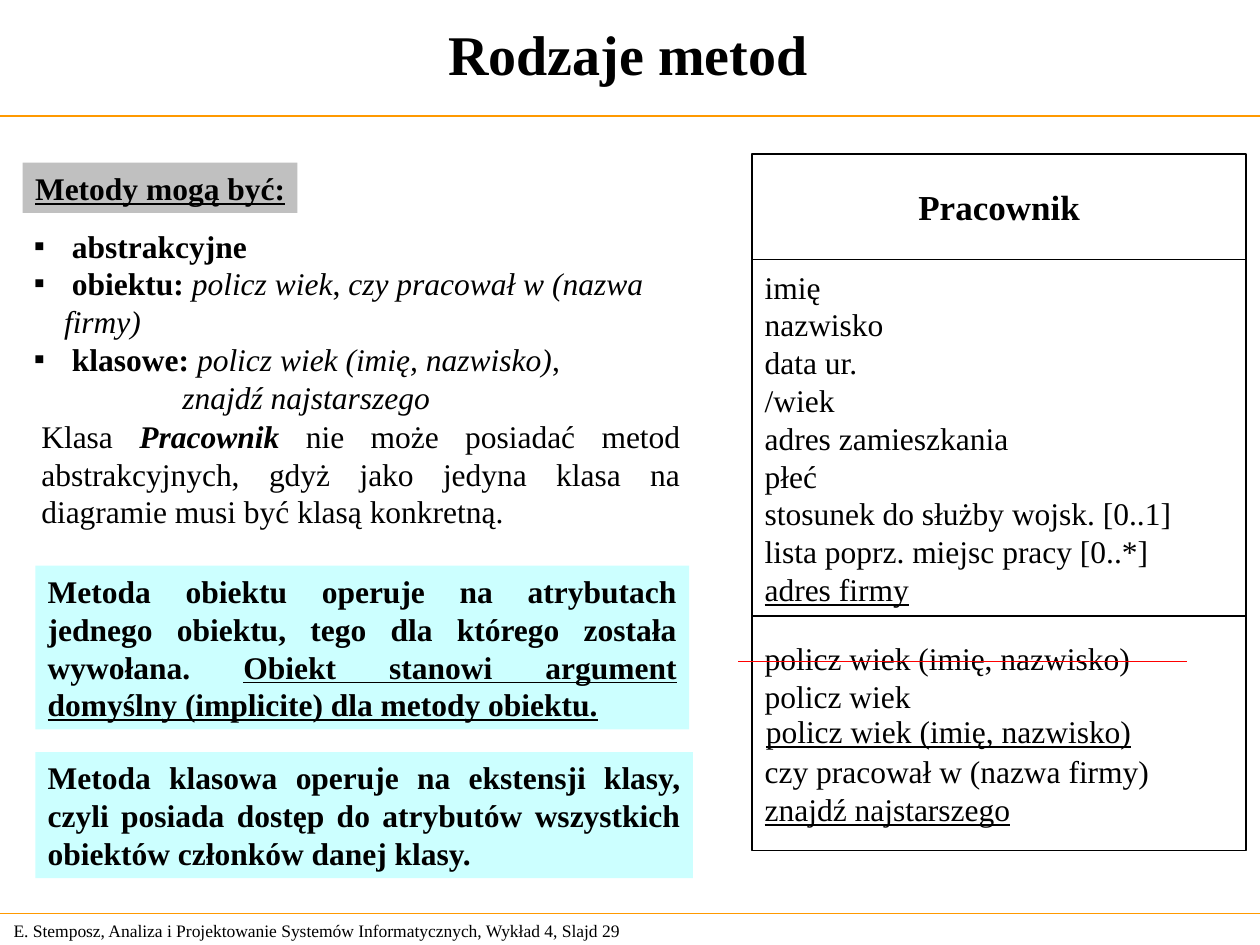
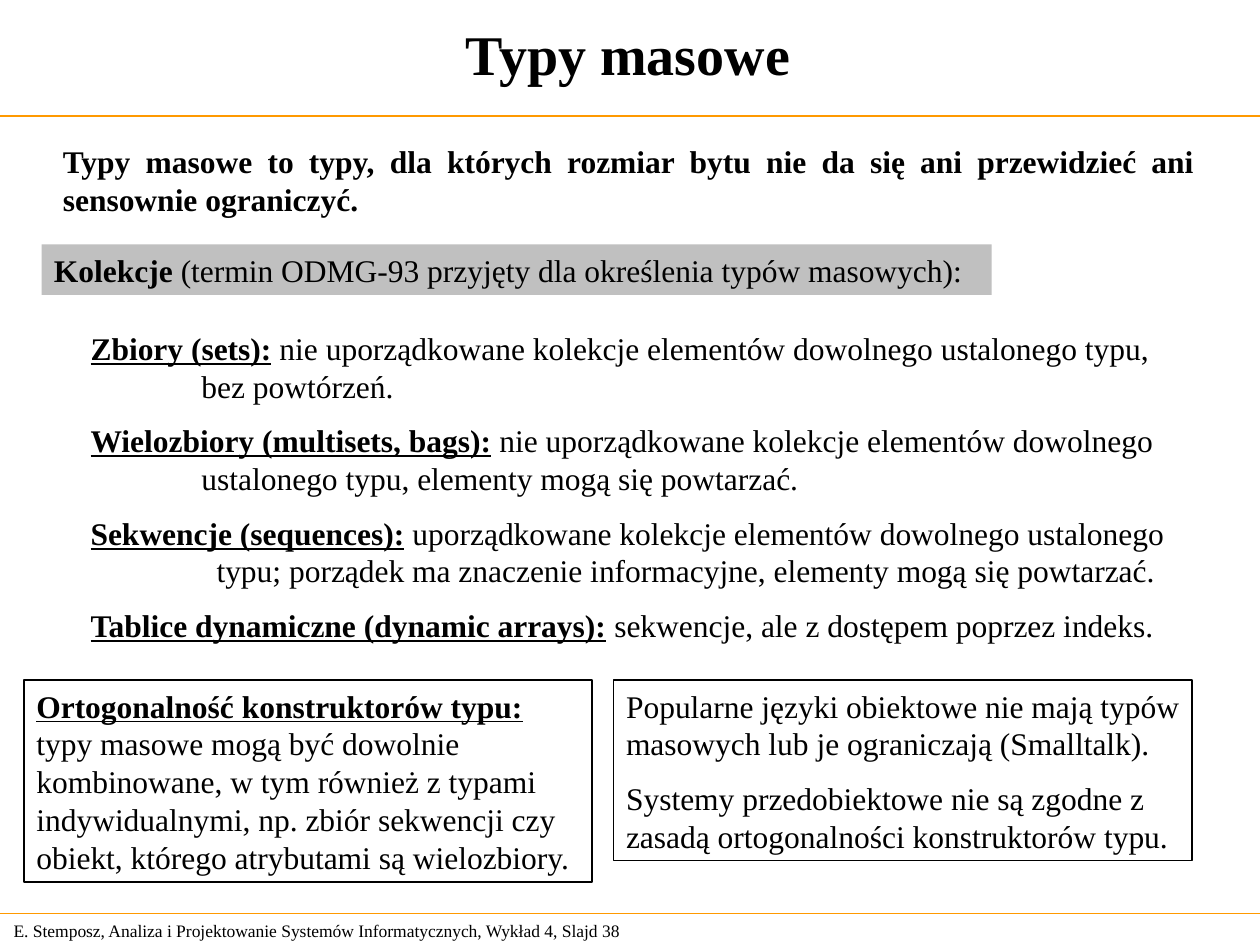
from dataclasses import dataclass

from lxml.etree import SubElement
from pptx import Presentation
from pptx.dml.color import RGBColor
from pptx.enum.shapes import MSO_CONNECTOR, MSO_SHAPE
from pptx.enum.text import MSO_ANCHOR, PP_ALIGN
from pptx.oxml.ns import qn
from pptx.util import Inches, Pt

COLUMNS, ROWS = 100, 75
BULLET_INDENT = 2.4
STYLES = {"b": "bold", "i": "italic", "u": "underline"}
ALIGNMENTS = {"left": PP_ALIGN.LEFT, "center": PP_ALIGN.CENTER, "justify": PP_ALIGN.JUSTIFY}


@dataclass(frozen=True)
class Theme:
    font: str = "Times New Roman"
    ink: str = "000000"
    rule: str = "FF9900"
    strike: str = "FF0000"
    heading_fill: str = "C0C0C0"
    note_fill: str = "CCFFFF"
    title_size: float = 32
    class_size: float = 20
    body_size: float = 18
    footer_size: float = 10
    blank_line: float = 21.6
    gap: float = 9.6


@dataclass(frozen=True)
class Line:
    """One paragraph: runs are (text, style letters) pairs, indent is in columns."""
    runs: tuple
    indent: float = 0
    bullet: str = ""
    before: float = 0


def line(text, style="", **options):
    return Line(((text, style),), **options)


def set_values(target, values):
    for name, value in values.items():
        setattr(target, name, value)


class SlideBuilder:
    """Draws on the current slide; positions are columns and rows of the grid."""

    def __init__(self, presentation, theme):
        self.presentation = presentation
        self.theme = theme
        self.slide = None

    def x(self, columns):
        return round(self.presentation.slide_width * columns / COLUMNS)

    def y(self, rows):
        return round(self.presentation.slide_height * rows / ROWS)

    def start(self, title, number):
        theme = self.theme
        self.slide = self.presentation.slides.add_slide(self.presentation.slide_layouts[6])
        footer = f"E. Stemposz, Analiza i Projektowanie Systemów Informatycznych, Wykład 4, Slajd {number}"
        self.text((0.1, 72.5, 52.4, 2.7), [line(footer)], size=theme.footer_size, middle=True)
        self.rule(0, 100, 9.2, theme.rule)
        self.rule(0, 100, 72.5, theme.rule, 0.75)
        self.text((0, 0, 99.7, 8.5), [line(title, "b")], size=theme.title_size,
                  align="center", middle=True)

    def rule(self, left, right, row, color, width=1):
        connector = self.slide.shapes.add_connector(
            MSO_CONNECTOR.STRAIGHT, self.x(left), self.y(row), self.x(right), self.y(row))
        connector.line.color.rgb = RGBColor.from_string(color)
        connector.line.width = Pt(width)
        SubElement(connector._element.spPr, qn("a:effectLst"))

    def text(self, area, lines, **options):
        left, top, width, height = area
        shape = self.slide.shapes.add_textbox(
            self.x(left), self.y(top), self.x(width), self.y(height))
        self.fill_text(shape, lines, **options)

    def box(self, area, lines, fill=None, outline=None, **options):
        left, top, width, height = area
        shape = self.slide.shapes.add_shape(
            MSO_SHAPE.RECTANGLE, self.x(left), self.y(top), self.x(width), self.y(height))
        shape.shadow.inherit = False
        if fill:
            shape.fill.solid()
            shape.fill.fore_color.rgb = RGBColor.from_string(fill)
        else:
            shape.fill.background()
        if outline:
            shape.line.color.rgb = RGBColor.from_string(outline)
            shape.line.width = Pt(1)
        else:
            shape.line.fill.background()
        self.fill_text(shape, lines, **options)

    def fill_text(self, shape, lines, size=None, align="left", middle=False):
        """Left-aligned text gets no right margin, so tight boxes keep their line breaks."""
        frame = shape.text_frame
        set_values(frame, {
            "word_wrap": True,
            "vertical_anchor": MSO_ANCHOR.MIDDLE if middle else MSO_ANCHOR.TOP,
            "margin_left": Inches(0.1),
            "margin_right": 0 if align == "left" else Inches(0.1),
            "margin_top": Inches(0.05),
            "margin_bottom": Inches(0.05),
        })
        for index, content in enumerate(lines):
            paragraph = frame.paragraphs[0] if index == 0 else frame.add_paragraph()
            set_values(paragraph, {"alignment": ALIGNMENTS[align],
                                   "space_before": Pt(content.before)})
            self.indent(paragraph, content)
            for text, style in content.runs:
                run = paragraph.add_run()
                run.text = text
                set_values(run.font, {"name": self.theme.font,
                                      "size": Pt(size or self.theme.body_size)})
                set_values(run.font, {STYLES[letter]: True for letter in style})
                run.font.color.rgb = RGBColor.from_string(self.theme.ink)

    def indent(self, paragraph, content):
        properties = paragraph._p.get_or_add_pPr()
        properties.set("marL", str(self.x(content.indent)))
        properties.set("indent", str(-self.x(content.indent) if content.bullet else 0))
        if content.bullet:
            SubElement(properties, qn("a:buFont"), typeface=self.theme.font)
            SubElement(properties, qn("a:buChar"), char=content.bullet)

    def class_diagram(self, left, top, width, sections):
        """Stacks the sections of a class; each is (height, lines, text options)."""
        for height, lines, options in sections:
            self.box((left, top, width, height), lines, outline=self.theme.ink,
                     middle=True, **options)
            top += height


def kinds_of_methods(builder):
    theme = builder.theme
    builder.start("Rodzaje metod", 29)
    builder.box((1.8, 12.9, 21.8, 4), [line("Metody mogą być:", "bu")], fill=theme.heading_fill)

    bullet = {"indent": BULLET_INDENT, "bullet": "▪"}
    builder.text((1.7, 17.5, 55, 13), [
        Line(((" ", ""), ("abstrakcyjne", "b")), **bullet),
        Line(((" ", ""), ("obiektu: ", "b"), ("policz wiek", "i"), (", ", ""),
              ("czy pracował w (nazwa firmy)", "i")), **bullet),
        Line(((" ", ""), ("klasowe: ", "b"), ("policz wiek (imię, nazwisko)", "i"),
              (",", "")), **bullet),
        line("znajdź najstarszego", "i", indent=11.8),
    ])
    builder.text((2.3, 32.6, 52.7, 10), [Line((
        ("Klasa ", ""), ("Pracownik ", "bi"),
        ("nie może posiadać metod abstrakcyjnych, gdyż jako jedyna klasa "
         "na diagramie musi być klasą konkretną.", "")))], align="justify")

    object_method = Line((
        ("Metoda obiektu operuje na atrybutach jednego obiektu, tego dla którego "
         "została wywołana. ", "b"),
        ("Obiekt stanowi argument domyślny (implicite) dla metody obiektu.", "bu")))
    class_method = line("Metoda klasowa operuje na ekstensji klasy, czyli posiada dostęp "
                        "do atrybutów wszystkich obiektów członków danej klasy.", "b")
    for top, width, height, note in ((44.9, 51.9, 13, object_method),
                                     (59.7, 52.2, 10, class_method)):
        builder.box((2.8, top, width, height), [note], fill=theme.note_fill, align="justify")

    attributes = ("imię", "nazwisko", "data ur.", "/wiek", "adres zamieszkania", "płeć",
                  "stosunek do służby wojsk. [0..1]", "lista poprz. miejsc pracy [0..*]")
    methods = [
        line("policz wiek (imię, nazwisko)"),
        line("policz wiek"),
        line("czy pracował w (nazwa firmy)", before=theme.blank_line),
        line("znajdź najstarszego", "u"),
    ]
    builder.class_diagram(59.7, 12.2, 39.2, [
        (8.4, [line("Pracownik", "b")], {"size": theme.class_size, "align": "center"}),
        (28.3, [line(name) for name in attributes] + [line("adres firmy", "u")], {}),
        (18.6, methods, {}),
    ])
    builder.rule(58.6, 94.2, 52.5, theme.strike)
    builder.text((59.8, 56, 31, 4), [line("policz wiek (imię, nazwisko)", "u")])


def mass_types(builder):
    theme = builder.theme
    builder.start("Typy masowe", 38)
    builder.box((3.3, 19.4, 75.4, 4), [Line((
        ("Kolekcje ", "b"),
        ("(termin ODMG-93 przyjęty dla określenia typów masowych):", "")))],
        fill=theme.heading_fill)

    builder.box((1.9, 54, 45.1, 16), [
        line("Ortogonalność konstruktorów typu:", "bu"),
        line("typy masowe mogą być dowolnie"),
        line("kombinowane, w tym również z typami"),
        line("indywidualnymi, np. zbiór sekwencji czy"),
        line("obiekt, którego atrybutami są wielozbiory."),
    ], outline=theme.ink)
    builder.box((48.7, 54, 45.9, 14.3), [
        line("Popularne języki obiektowe nie mają typów"),
        line("masowych lub je ograniczają (Smalltalk)."),
        line("Systemy przedobiektowe nie są zgodne z", before=theme.gap),
        line("zasadą ortogonalności konstruktorów typu."),
    ], outline=theme.ink)
    builder.text((4, 10.8, 91.8, 7), [line(
        "Typy masowe to typy, dla których rozmiar bytu nie da się ani przewidzieć "
        "ani sensownie ograniczyć.", "b")], align="justify", middle=True)

    definitions = (
        ("Zbiory (sets):", "nie uporządkowane kolekcje elementów dowolnego ustalonego typu,",
         "bez powtórzeń.", 8.8),
        ("Wielozbiory (multisets, bags):", "nie uporządkowane kolekcje elementów dowolnego",
         "ustalonego typu, elementy mogą się powtarzać.", 8.8),
        ("Sekwencje (sequences):", "uporządkowane kolekcje elementów dowolnego ustalonego",
         "typu; porządek ma znaczenie informacyjne, elementy mogą się powtarzać.", 10),
        ("Tablice dynamiczne (dynamic arrays):", "sekwencje, ale z dostępem poprzez indeks.",
         "", 0),
    )
    lines = []
    for term, meaning, rest, indent in definitions:
        lines.append(Line(((term, "bu"), (" " + meaning, "")), before=theme.gap if lines else 0))
        if rest:
            lines.append(line(rest, indent=indent))
    builder.text((6.2, 25.6, 87.9, 26), lines, middle=True)


def main():
    presentation = Presentation()
    presentation.slide_width, presentation.slide_height = Inches(10), Inches(7.5)
    builder = SlideBuilder(presentation, Theme())
    kinds_of_methods(builder)
    mass_types(builder)
    presentation.save("out.pptx")


if __name__ == "__main__":
    main()
